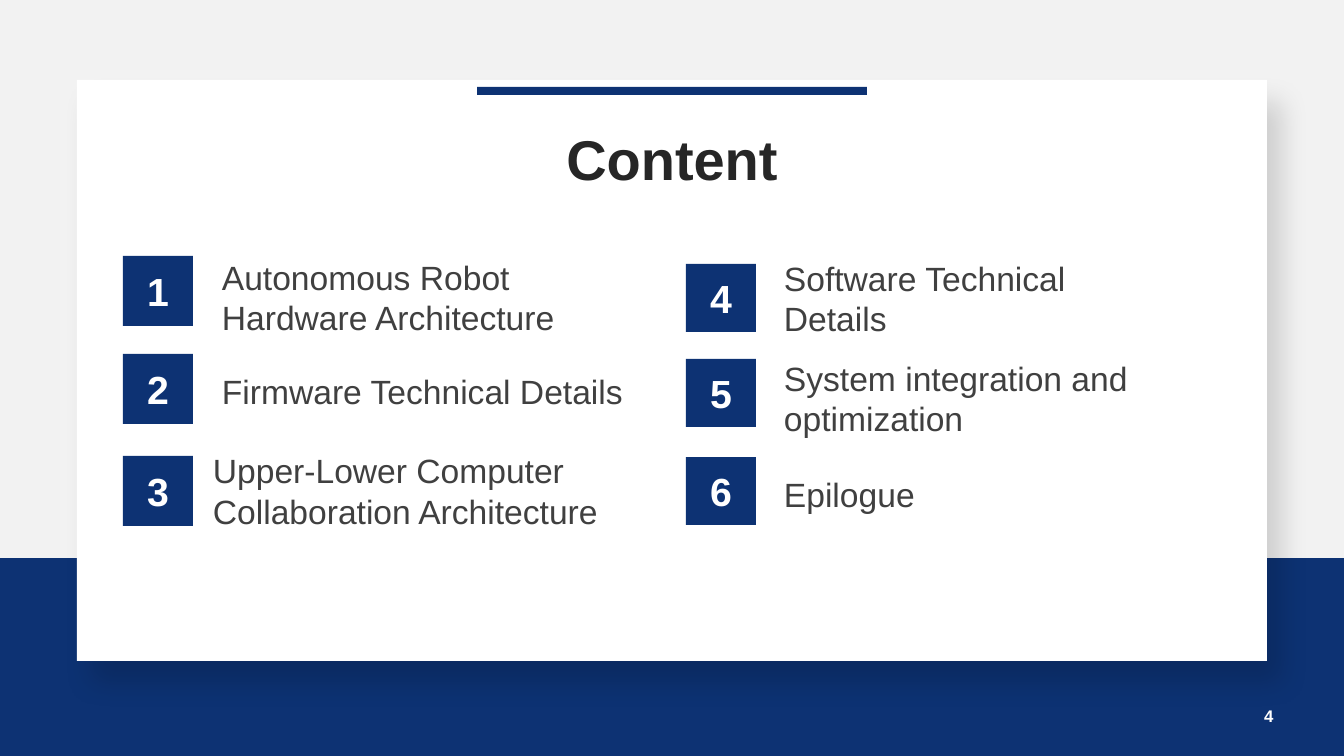
from lxml import etree
from pptx import Presentation
from pptx import util as u
from pptx.dml.color import RGBColor
from pptx.enum import shapes, text
from pptx.oxml.ns import qn

PX = 914400 / 100.8
COLORS = {"navy": "0D3273", "white": "FFFFFF", "page": "F2F2F2",
          "title": "262626", "body": "404040", "shadow": "000000"}

deck = Presentation()
deck.slide_width, deck.slide_height = u.Inches(13.333), u.Inches(7.5)
slide = deck.slides.add_slide(deck.slide_layouts[6])
slide.background.fill.solid()
slide.background.fill.fore_color.rgb = RGBColor.from_string(COLORS["page"])


def add_block(box, color):
    """Add a borderless rectangle; box is left, top, width, height in px."""
    block = slide.shapes.add_shape(shapes.MSO_SHAPE.RECTANGLE, *(round(v * PX) for v in box))
    block.shadow.inherit = False
    block.fill.solid()
    block.fill.fore_color.rgb = RGBColor.from_string(COLORS[color])
    block.line.fill.background()
    return block


def write(shape, words, size, color, bold=True, centred=True, wrap=True, margin=True):
    frame = shape.text_frame
    frame.word_wrap = wrap
    frame.vertical_anchor = text.MSO_ANCHOR.MIDDLE
    if not margin:
        frame.margin_left = frame.margin_right = frame.margin_top = frame.margin_bottom = 0
    frame.text = words
    line = frame.paragraphs[0]
    line.alignment = text.PP_ALIGN.CENTER if centred else text.PP_ALIGN.LEFT
    font = line.runs[0].font
    font.name, font.size, font.bold = "Arial", u.Pt(size), bold
    font.color.rgb = RGBColor.from_string(COLORS[color])


add_block((0, 558, 1344, 198), "navy")

card = add_block((77, 80, 1190, 581), "white")
effects = card._element.spPr.find(qn("a:effectLst"))
shadow = etree.SubElement(effects, qn("a:outerShdw"), blurRad=str(u.Pt(20)),
                          dist=str(u.Pt(19)), dir=str(58 * 60000),
                          algn="tl", rotWithShape="0")
shade = etree.SubElement(shadow, qn("a:srgbClr"), val=COLORS["shadow"])
etree.SubElement(shade, qn("a:alpha"), val="14000")

page_number = slide.shapes.add_textbox(*(round(v * PX) for v in (1264, 706, 9, 20)))
write(page_number, "4", 12, "white", wrap=False, margin=False)

title = add_block((566, 114, 212, 88), "white")
write(title, "Content", 40, "title", wrap=False, margin=False)
add_block((477, 87, 390, 8), "navy")

# number box, label box, label
topics = [
    ((123, 256, 70, 70), (212, 262, 429, 70), "Autonomous Robot Hardware Architecture"),
    ((123, 354, 70, 70), (212, 364, 429, 55), "Firmware Technical Details"),
    ((123, 456, 70, 70), (203, 442, 497, 97), "Upper-Lower Computer Collaboration Architecture"),
    ((686, 264, 70, 68), (774, 264, 401, 68), "Software Technical Details"),
    ((686, 359, 70, 68), (774, 359, 490, 78), "System integration and optimization"),
    ((686, 457, 70, 68), (774, 456, 313, 69), "Epilogue"),
]
for number, (number_box, label_box, topic) in enumerate(topics, 1):
    write(add_block(number_box, "navy"), str(number), 28, "white")
    label = slide.shapes.add_textbox(*(round(v * PX) for v in label_box))
    write(label, topic, 24, "body", bold=False, centred=False)
label.text_frame.paragraphs[0].line_spacing = 1.2

deck.save("out.pptx")
